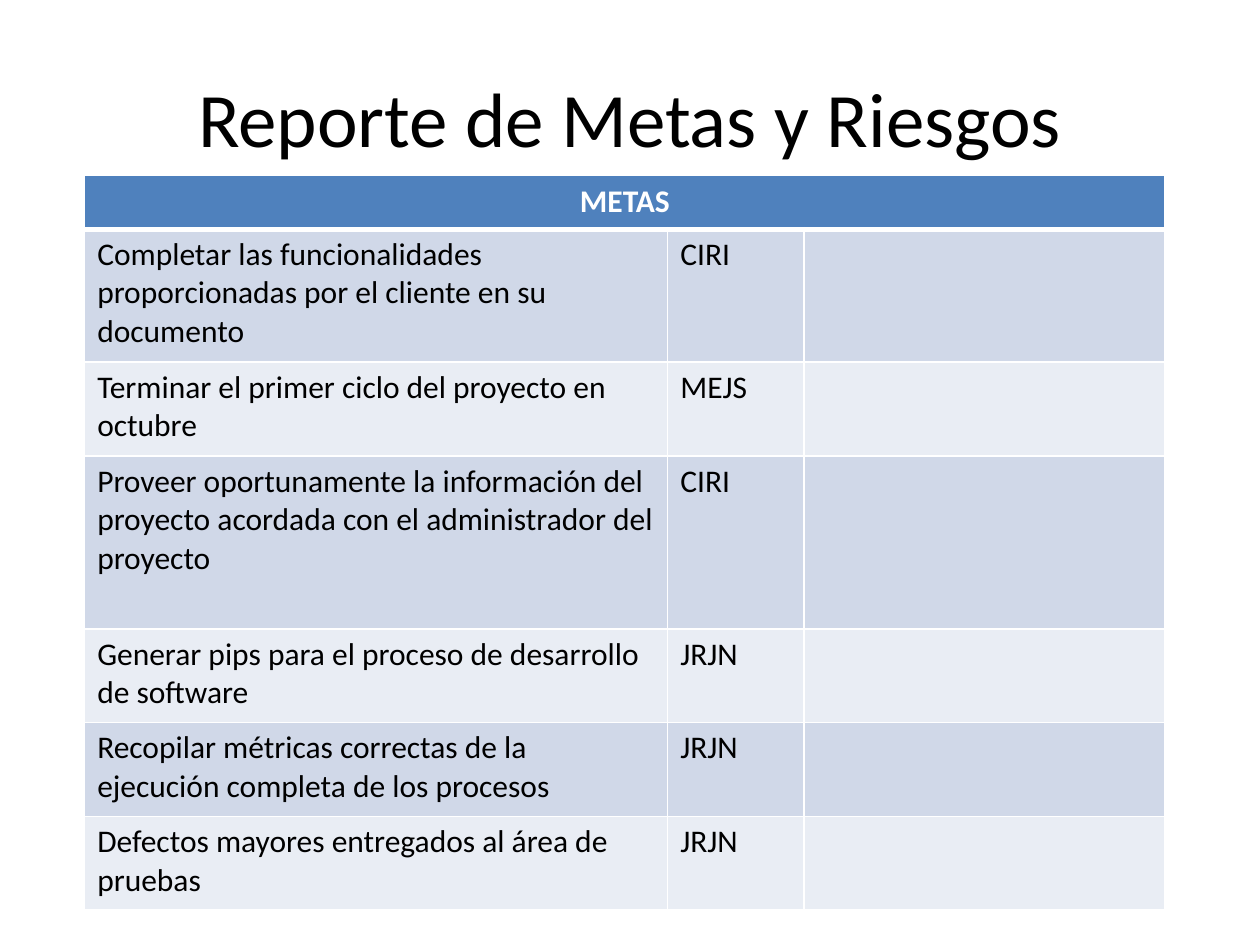
from lxml import etree
from pptx import Presentation
from pptx.dml.color import RGBColor
from pptx.enum.text import MSO_ANCHOR, PP_ALIGN
from pptx.oxml.ns import qn
from pptx.util import Pt

CENTER = PP_ALIGN.CENTER
LEFT = PP_ALIGN.LEFT
MIDDLE = MSO_ANCHOR.MIDDLE
BLACK = RGBColor(0x00, 0x00, 0x00)
WHITE = RGBColor(0xFF, 0xFF, 0xFF)
HEADER_BLUE = RGBColor(0x4F, 0x81, 0xBD)
BANDS = (RGBColor(0xD0, 0xD8, 0xE8), RGBColor(0xE9, 0xED, 0xF4))
FONT = "Calibri"

GOALS = [
    ("Completar las funcionalidades proporcionadas por el cliente en su documento", "CIRI"),
    ("Terminar el primer ciclo del proyecto en octubre", "MEJS"),
    ("Proveer oportunamente la información del proyecto acordada con el "
     "administrador del proyecto", "CIRI"),
    ("Generar pips para el proceso de desarrollo de software", "JRJN"),
    ("Recopilar métricas correctas de la ejecución completa de los procesos", "JRJN"),
    ("Defectos mayores entregados al área de pruebas", "JRJN"),
]
COLUMN_WIDTHS = (333.2, 77.8, 206.4)
ROW_HEIGHTS = (30.6, 76, 53.5, 99, 53.5, 53.5, 53.5)


def add_text(paragraph, text, size, color, bold=False, alignment=LEFT):
    """Add one formatted run to an aligned paragraph."""
    paragraph.alignment = alignment
    run = paragraph.add_run()
    run.text = text
    run.font.name = FONT
    run.font.size = Pt(size)
    run.font.bold = bold
    run.font.color.rgb = color


def style_cell(cell, fill_color, bottom_width=1, top_width=1):
    """Give a cell white borders and a solid fill."""
    properties = cell._tc.get_or_add_tcPr()
    widths = {"a:lnL": 1, "a:lnR": 1, "a:lnT": top_width, "a:lnB": bottom_width}
    for tag, width in widths.items():
        line = etree.SubElement(properties, qn(tag), w=str(Pt(width)))
        fill = etree.SubElement(line, qn("a:solidFill"))
        etree.SubElement(fill, qn("a:srgbClr"), val=str(WHITE))
    cell.fill.solid()
    cell.fill.fore_color.rgb = fill_color


def place_title(slide, left, top, width, height):
    """Place the slide title in the given box."""
    title = slide.shapes.title
    title.left, title.top = Pt(left), Pt(top)
    title.width, title.height = Pt(width), Pt(height)
    title.text_frame.vertical_anchor = MIDDLE
    add_text(title.text_frame.paragraphs[0], "Reporte de Metas y Riesgos", 44, BLACK,
             alignment=CENTER)


def place_goals_table(slide, left, top, width, height):
    """Place the goals table, scaling rows and columns to the given box."""
    table = slide.shapes.add_table(
        len(ROW_HEIGHTS), len(COLUMN_WIDTHS), Pt(left), Pt(top), Pt(width), Pt(height)
    ).table
    for column, share in zip(table.columns, COLUMN_WIDTHS):
        column.width = Pt(width * share / sum(COLUMN_WIDTHS))
    for row, share in zip(table.rows, ROW_HEIGHTS):
        row.height = Pt(height * share / sum(ROW_HEIGHTS))

    header = table.cell(0, 0)
    header.merge(table.cell(0, len(COLUMN_WIDTHS) - 1))
    add_text(header.text_frame.paragraphs[0], "METAS", 18, WHITE, True, CENTER)
    for cell in table.rows[0].cells:
        style_cell(cell, HEADER_BLUE, bottom_width=3)

    for index, goal in enumerate(GOALS):
        cells = list(table.rows[index + 1].cells)
        for cell in cells:
            style_cell(cell, BANDS[index % 2], top_width=3 if index == 0 else 1)
        for cell, text in zip(cells, goal):
            add_text(cell.text_frame.paragraphs[0], text, 18, BLACK)


def main():
    """Build and save the presentation."""
    presentation = Presentation()
    presentation.slide_width, presentation.slide_height = Pt(720), Pt(540)
    slide = presentation.slides.add_slide(presentation.slide_layouts[5])
    place_title(slide, 36, 21.6, 648, 90)
    place_goals_table(slide, 48.4, 100.4, sum(COLUMN_WIDTHS), sum(ROW_HEIGHTS))
    presentation.save("out.pptx")


main()
